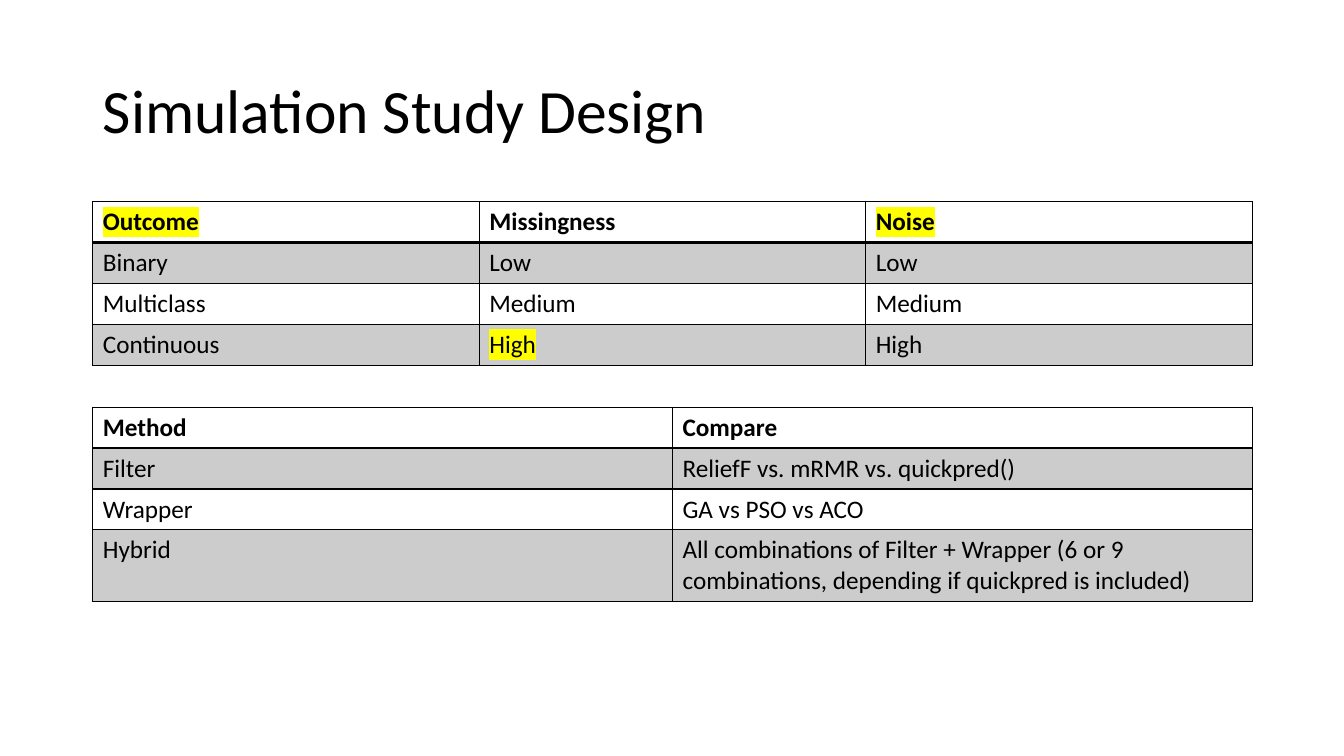
from lxml.etree import SubElement
from pptx import Presentation
from pptx.dml.color import RGBColor
from pptx.enum.text import MSO_ANCHOR, PP_ALIGN
from pptx.oxml import parse_xml
from pptx.oxml.ns import nsdecls, qn
from pptx.util import Inches, Pt

BLACK = RGBColor(0x00, 0x00, 0x00)
YELLOW = RGBColor(0xFF, 0xFF, 0x00)
FONT = "Calibri"
LEFT, WIDTH = Inches(0.92), Inches(11.5)
TABLE_HEIGHT = Inches(1.62)
BAND_OPACITY = 20  # percent

FACTORS = [
    ["Outcome", "Missingness", "Noise"],
    ["Binary", "Low", "Low"],
    ["Multiclass", "Medium", "Medium"],
    ["Continuous", "High", "High"],
]
FACTOR_HIGHLIGHTS = {(0, 0), (0, 2), (3, 1)}
METHODS = [
    ["Method", "Compare"],
    ["Filter", "ReliefF vs. mRMR vs. quickpred()"],
    ["Wrapper", "GA vs PSO vs ACO"],
    ["Hybrid", "All combinations of Filter + Wrapper (6 or 9 combinations, "
               "depending if quickpred is included)"],
]


def write_text(text_frame, text, size=18, bold=False, highlight=None, line_spacing=None):
    paragraph = text_frame.paragraphs[0]
    paragraph.alignment = PP_ALIGN.LEFT
    if line_spacing:
        paragraph.line_spacing = line_spacing
    run = paragraph.add_run()
    run.text = text
    run.font.name = FONT
    run.font.size = Pt(size)
    run.font.bold = bold
    run.font.color.rgb = BLACK
    if highlight is not None:
        # The schema wants the highlight between the fill and the font
        run.font._element.find(qn("a:latin")).addprevious(parse_xml(
            f'<a:highlight {nsdecls("a")}><a:srgbClr val="{highlight}"/></a:highlight>'))


def set_borders(cell, bottom_width):
    properties = cell._tc.get_or_add_tcPr()
    widths = {"lnL": 1, "lnR": 1, "lnT": 1, "lnB": bottom_width}
    for index, (side, width) in enumerate(widths.items()):
        properties.insert(index, parse_xml(
            f'<a:{side} {nsdecls("a")} w="{Pt(width)}"><a:solidFill>'
            f'<a:srgbClr val="{BLACK}"/></a:solidFill></a:{side}>'))


def set_band(cell, shaded):
    if not shaded:
        cell.fill.background()
        return
    cell.fill.solid()
    cell.fill.fore_color.rgb = BLACK
    color = cell._tc.tcPr.find(qn("a:solidFill")).find(qn("a:srgbClr"))
    SubElement(color, qn("a:alpha"), val=str(BAND_OPACITY * 1000))


def add_title(slide, text):
    title = slide.shapes.title
    title.left, title.top, title.width, title.height = LEFT, Inches(0.4), WIDTH, Inches(1.45)
    title.text_frame.vertical_anchor = MSO_ANCHOR.MIDDLE
    write_text(title.text_frame, text, size=44, line_spacing=0.9)


def add_grid(slide, top, rows, highlights=()):
    table = slide.shapes.add_table(
        len(rows), len(rows[0]), LEFT, top, WIDTH, TABLE_HEIGHT).table
    table.first_row = table.horz_banding = False
    for row_index, row in enumerate(rows):
        header = row_index == 0
        for column_index, text in enumerate(row):
            cell = table.cell(row_index, column_index)
            highlight = YELLOW if (row_index, column_index) in highlights else None
            write_text(cell.text_frame, text, bold=header, highlight=highlight)
            set_band(cell, shaded=row_index % 2 == 1)
            set_borders(cell, bottom_width=2 if header else 1)


def main():
    presentation = Presentation()
    presentation.slide_width = Inches(13.33)
    presentation.slide_height = Inches(7.5)
    title_only = presentation.slide_layouts.get_by_name("Title Only")
    slide = presentation.slides.add_slide(title_only)

    add_title(slide, "Simulation Study Design")
    # Simulated factors and their levels
    add_grid(slide, Inches(2), FACTORS, FACTOR_HIGHLIGHTS)
    # Methods and what is compared
    add_grid(slide, Inches(4.04), METHODS)

    presentation.save("out.pptx")


if __name__ == "__main__":
    main()
